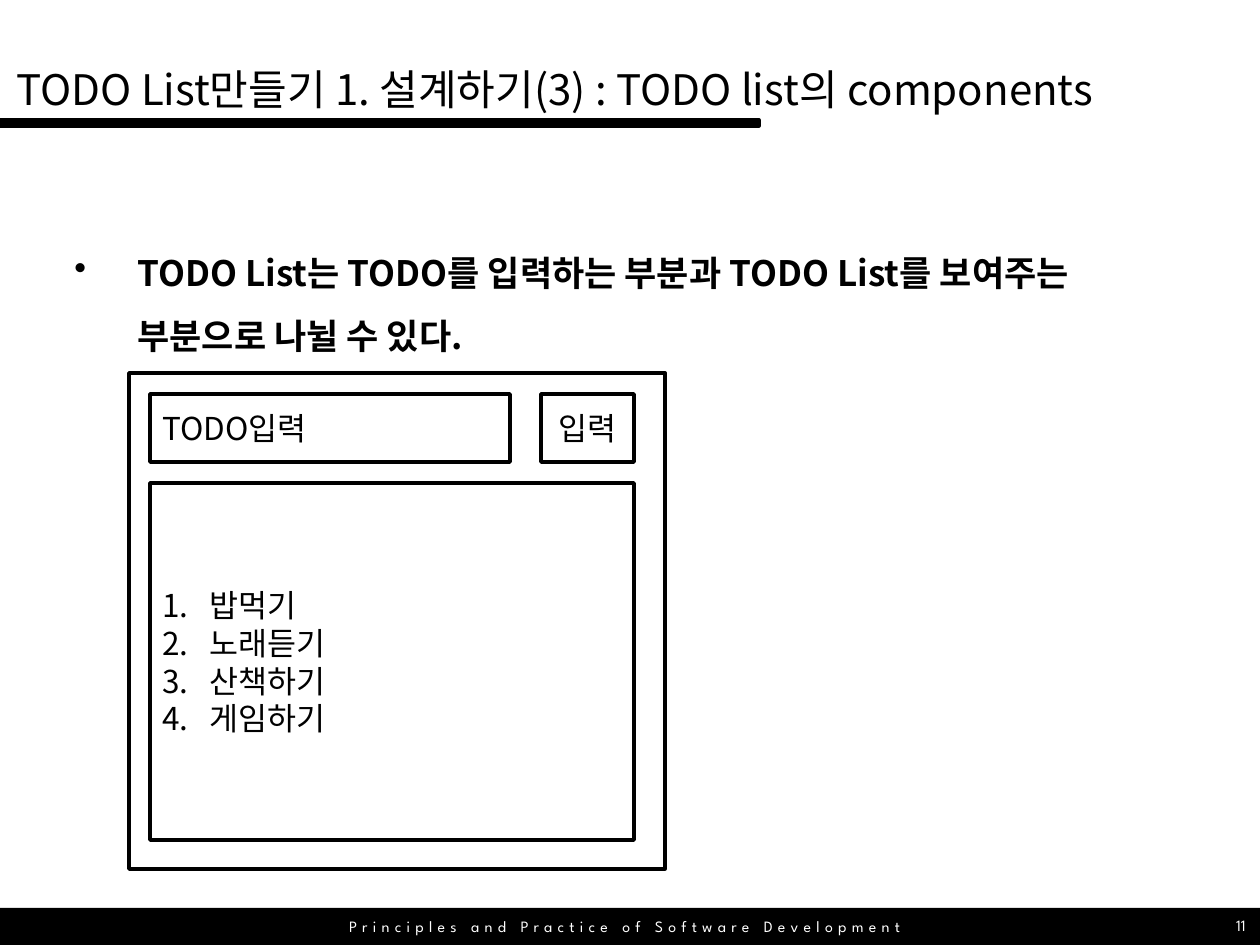
from pptx import Presentation
from pptx.dml.color import RGBColor
from pptx.enum.shapes import MSO_SHAPE
from pptx.enum.text import MSO_ANCHOR, PP_ALIGN
from pptx.oxml.ns import qn
from pptx.util import Emu, Pt
from lxml.etree import SubElement

PX = 914400 / 126
BLACK = RGBColor(0, 0, 0)
WHITE = RGBColor(255, 255, 255)
KOREAN = "Noto Sans CJK KR"
LATIN = "League Spartan"
TITLE = {"size": Pt(24), "name": KOREAN}
BODY = {"size": Pt(20), "name": KOREAN, "bold": True}
LABEL = {"size": Pt(18), "name": KOREAN}
SMALL = {"size": Pt(9), "name": LATIN}


def px(length):
    """Turn pixels into EMU."""
    return Emu(round(length * PX))


def write(frame, lines, font, color=BLACK, align=PP_ALIGN.LEFT, anchor=MSO_ANCHOR.TOP):
    """Fill a text frame with one paragraph for each line."""
    frame.word_wrap = True
    frame.vertical_anchor = anchor
    frame.text = "\n".join(lines)
    for paragraph in frame.paragraphs:
        paragraph.alignment = align
        run = paragraph.runs[0]
        run.font.color.rgb = color
        for attribute, value in font.items():
            setattr(run.font, attribute, value)
        SubElement(run.font._element, qn("a:ea"), typeface=font["name"])
    return frame


def add_text(slide, box, line, font, **style):
    """Add a text box holding one line."""
    label = slide.shapes.add_textbox(*map(px, box))
    return write(label.text_frame, [line], font, **style)


def add_box(slide, box, fill=WHITE, outlined=True):
    """Add a plain rectangle."""
    rectangle = slide.shapes.add_shape(MSO_SHAPE.RECTANGLE, *map(px, box))
    rectangle.shadow.inherit = False
    rectangle.fill.solid()
    rectangle.fill.fore_color.rgb = fill
    if outlined:
        rectangle.line.color.rgb = BLACK
        rectangle.line.width = Pt(2)
    else:
        rectangle.line.fill.background()
    return rectangle


def add_bullets(frame, indent, tag, **marker):
    """Give each paragraph a hanging indent and a bullet or number."""
    for paragraph in frame.paragraphs:
        properties = paragraph._p.get_or_add_pPr()
        properties.set("marL", str(px(indent)))
        properties.set("indent", str(-px(indent)))
        SubElement(properties, qn(tag), **marker)


def add_header(slide, left, top, width, height):
    """Place the title and the bar below it."""
    add_box(slide, (left, top + height, 759, 6), BLACK)
    add_text(slide, (left + 4, top, width, height),
             "TODO List만들기 1. 설계하기(3) : TODO list의 components", TITLE)


def add_body(slide, *box):
    """Place the bulleted statement."""
    frame = add_text(
        slide, box,
        "TODO List는 TODO를 입력하는 부분과 TODO List를 보여주는 부분으로 나뉠 수 있다.", BODY)
    frame.paragraphs[0].line_spacing = 1.5
    add_bullets(frame, 63, "a:buChar", char="•")


def add_mockup(slide, left, top, width, height):
    """Place the window with its input field, button and list."""
    margin, row, button = 21, 68, 93
    inner = width - 52
    add_box(slide, (left, top, width, height))
    x, y = left + margin, top + margin
    todo_input = add_box(slide, (x, y, 360, row))
    submit = add_box(slide, (x + inner - button, y, button, row))
    list_top = y + row + margin
    todo_list = add_box(slide, (x, list_top, inner, top + height - 29 - list_top))
    write(todo_input.text_frame, ["TODO입력"], LABEL, anchor=MSO_ANCHOR.MIDDLE)
    write(submit.text_frame, ["입력"], LABEL, align=PP_ALIGN.CENTER, anchor=MSO_ANCHOR.MIDDLE)
    todos = write(todo_list.text_frame, ["밥먹기", "노래듣기", "산책하기", "게임하기"],
                  LABEL, anchor=MSO_ANCHOR.MIDDLE)
    add_bullets(todos, 47, "a:buAutoNum", type="arabicPeriod")


def add_footer(slide, left, top, width, height):
    """Place the footer band with the course name and page number."""
    add_box(slide, (left, top, width, height), BLACK, outlined=False)
    add_text(slide, (left + 1155, top - 1, 103, height), "11", SMALL, color=WHITE,
             align=PP_ALIGN.RIGHT, anchor=MSO_ANCHOR.MIDDLE)
    course = add_text(slide, (left + 199, top, 851, height),
                      "Principles and Practice of Software Development", SMALL, color=WHITE,
                      align=PP_ALIGN.CENTER, anchor=MSO_ANCHOR.MIDDLE)
    course.paragraphs[0].runs[0].font._element.set("spc", "300")


def main():
    """Build the slide and save it."""
    presentation = Presentation()
    presentation.slide_width, presentation.slide_height = px(1260), px(945)
    slide = presentation.slides.add_slide(presentation.slide_layouts[6])
    add_body(slide, 62, 224, 1142, 678)
    add_footer(slide, 0, 908, 1260, 37)
    add_header(slide, 0, 57, 1320, 63)
    add_mockup(slide, 129, 373, 536, 496)
    presentation.save("out.pptx")


if __name__ == "__main__":
    main()
